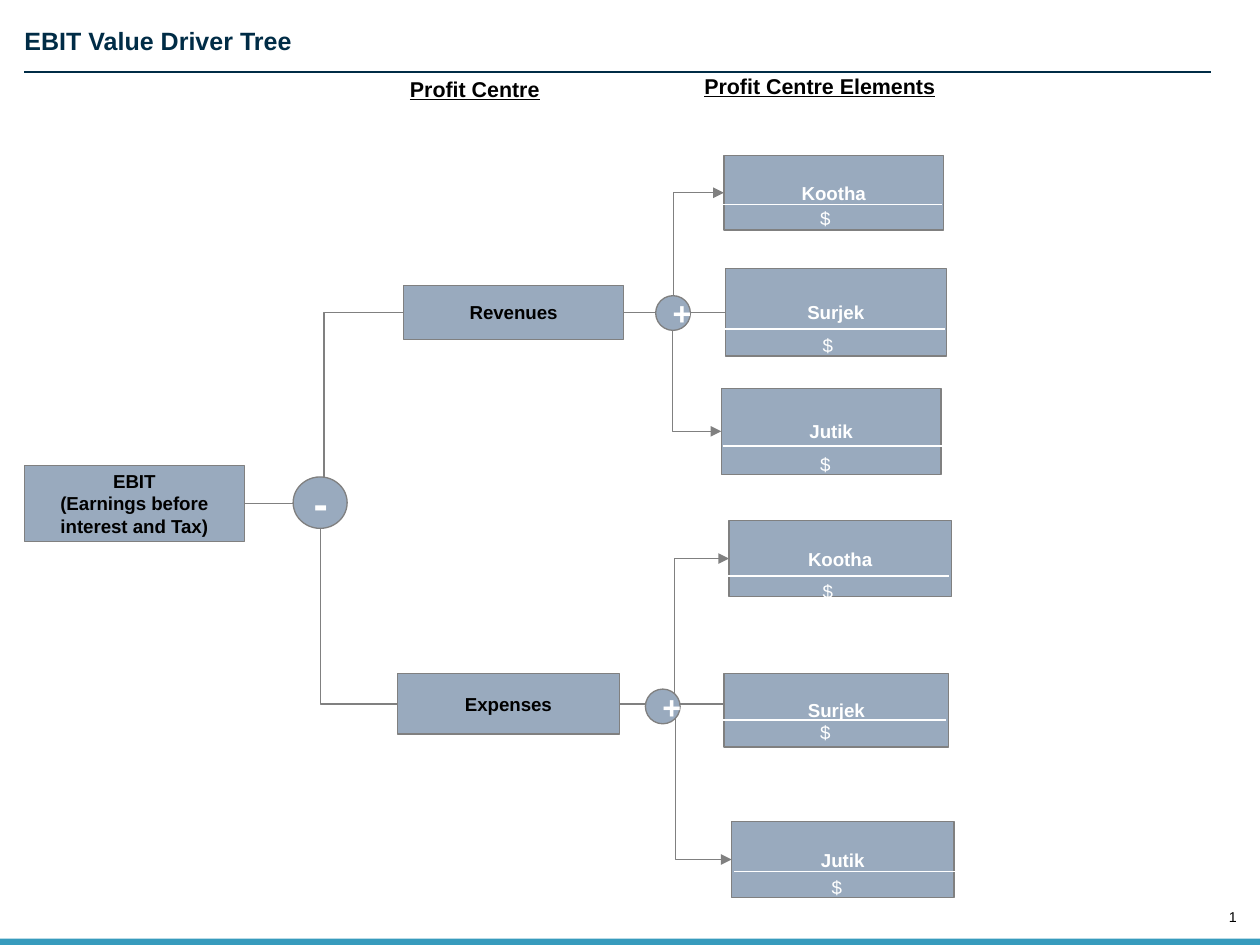
from lxml import etree
from pptx import Presentation, util as u
from pptx.dml.color import RGBColor
from pptx.enum import shapes, text
from pptx.oxml.ns import qn

COLORS = {"navy": "002C46", "teal": "379BBD", "box": "99AABE",
          "line": "808080", "white": "FFFFFF", "black": "000000"}

TITLE = ("EBIT Value Driver Tree", (0.19, 0.2, 9.56, 0.24))
HEADINGS = [("Profit Centre", (3.09, 0.54, 1.96, 0.3)),
            ("Profit Centre Elements", (5.38, 0.52, 2.19, 0.3))]
ROOT = ("EBIT\n(Earnings before interest and Tax)", (0.19, 3.62, 1.71, 0.59))
MINUS = ("-", (2.28, 3.71, 0.42, 0.4))
BRANCHES = [
    {"centre": ("Revenues", (3.14, 2.22, 1.71, 0.42)),
     "plus": (5.1, 2.3, 0.27, 0.27),
     "divider_width": 1.71,
     "elements": [("Kootha", (5.63, 1.21, 1.71, 0.58), (5.62, 1.59), 1.56),
                  ("Surjek", (5.64, 2.09, 1.72, 0.68), (5.64, 2.56), 2.55),
                  ("Jutik", (5.61, 3.02, 1.71, 0.67), (5.62, 3.47), 3.47)]},
    {"centre": ("Expenses", (3.09, 5.24, 1.73, 0.47)),
     "plus": (5.02, 5.36, 0.27, 0.27),
     "divider_width": 1.74,
     "elements": [("Kootha", (5.67, 4.05, 1.73, 0.59), (5.64, 4.48), 4.46),
                  ("Surjek", (5.63, 5.24, 1.75, 0.57), (5.62, 5.6), 5.56),
                  ("Jutik", (5.69, 6.39, 1.73, 0.59), (5.71, 6.78), 6.76)]},
]
DOLLAR_OFFSET = 0.66
LEFT_SIDE, RIGHT_SIDE = 1, 3


def color(name):
    return RGBColor.from_string(COLORS[name])


def inches(values):
    return [u.Inches(value) for value in values]


def write(shape, content, size=10.5, ink="black", bold=False, underline=False,
          align="LEFT", anchor="TOP", margin=None, wrap=True):
    frame = shape.text_frame
    frame.word_wrap = wrap
    frame.vertical_anchor = getattr(text.MSO_ANCHOR, anchor)
    if margin is not None:
        frame.margin_left = frame.margin_right = u.Inches(margin)
        frame.margin_top = frame.margin_bottom = u.Inches(margin)
    frame.text = content
    for paragraph in frame.paragraphs:
        paragraph.alignment = getattr(text.PP_ALIGN, align)
        for run in paragraph.runs:
            font = run.font
            font.name, font.size = "Arial", u.Pt(size)
            font.bold, font.underline = bold, underline
            font.color.rgb = color(ink)


def add_text(slide, content, box, **style):
    shape = slide.shapes.add_textbox(*inches(box))
    write(shape, content, **style)
    return shape


def add_node(slide, content, box, kind="RECTANGLE", fill="box", outline="line", **style):
    shape = slide.shapes.add_shape(getattr(shapes.MSO_SHAPE, kind), *inches(box))
    shape.shadow.inherit = False
    shape.fill.solid()
    shape.fill.fore_color.rgb = color(fill)
    if outline:
        shape.line.color.rgb = color(outline)
        shape.line.width = u.Pt(0.75)
    else:
        shape.line.fill.background()
    if content:
        write(shape, content, bold=True, align="CENTER", anchor="MIDDLE", **style)
    return shape


def add_line(slide, start, end, ink="line", kind="STRAIGHT", arrow=False):
    connector = slide.shapes.add_connector(
        getattr(shapes.MSO_CONNECTOR, kind), *inches(start + end))
    connector.line.color.rgb = color(ink)
    connector.line.width = u.Pt(0.75)
    properties = connector._element.spPr
    if arrow:
        etree.SubElement(properties.find(qn("a:ln")), qn("a:tailEnd"), type="triangle")
    etree.SubElement(properties, qn("a:effectLst"))
    return connector


def join(slide, parent, child, arrow=False):
    connector = add_line(slide, (0, 0), (1, 1), kind="ELBOW", arrow=arrow)
    connector.begin_connect(parent, RIGHT_SIDE)
    connector.end_connect(child, LEFT_SIDE)


def add_branch(slide, root, branch):
    centre = add_node(slide, *branch["centre"])
    join(slide, root, centre)
    left, top, width, height = branch["centre"][1]
    middle = top + height / 2
    for name, box, (line_left, line_top), dollar_top in branch["elements"]:
        element = add_node(slide, name, box, ink="white")
        if name == "Surjek":
            add_line(slide, (box[0], middle), (branch["plus"][0] + 0.1, middle))
        else:
            join(slide, centre, element, arrow=True)
        add_line(slide, (line_left, line_top),
                 (line_left + branch["divider_width"], line_top), ink="white")
        add_text(slide, "$", (line_left + DOLLAR_OFFSET, dollar_top, 1.07, 0.17), ink="white")
    add_node(slide, "+", branch["plus"], kind="OVAL", size=18, ink="white")


def add_page_number(slide):
    shape = add_text(slide, "1", (9.48, 7.07, 0.14, 0.13), size=8,
                     align="RIGHT", anchor="BOTTOM", margin=0, wrap=False)
    run = shape.text_frame.paragraphs[0].runs[0]._r
    run.tag = qn("a:fld")
    run.set("id", "{B6F15528-21DE-4FAA-801E-634DDDAF4B2B}")
    run.set("type", "slidenum")


def main():
    presentation = Presentation()
    presentation.slide_width, presentation.slide_height = inches((9.8, 7.35))
    slide = presentation.slides.add_slide(presentation.slide_layouts[6])
    add_page_number(slide)
    add_node(slide, "", (0, 7.3, 9.8, 0.05), fill="teal", outline=None)
    add_text(slide, *TITLE, size=14, ink="navy", bold=True, margin=0)
    add_line(slide, (0.19, 0.56), (9.42, 0.56), ink="navy")
    for heading, box in HEADINGS:
        add_text(slide, heading, box, size=12, bold=True, underline=True)
    root = add_node(slide, *ROOT)
    for branch in BRANCHES:
        add_branch(slide, root, branch)
    add_node(slide, *MINUS, kind="OVAL", size=24, ink="white")
    presentation.save("out.pptx")


if __name__ == "__main__":
    main()
